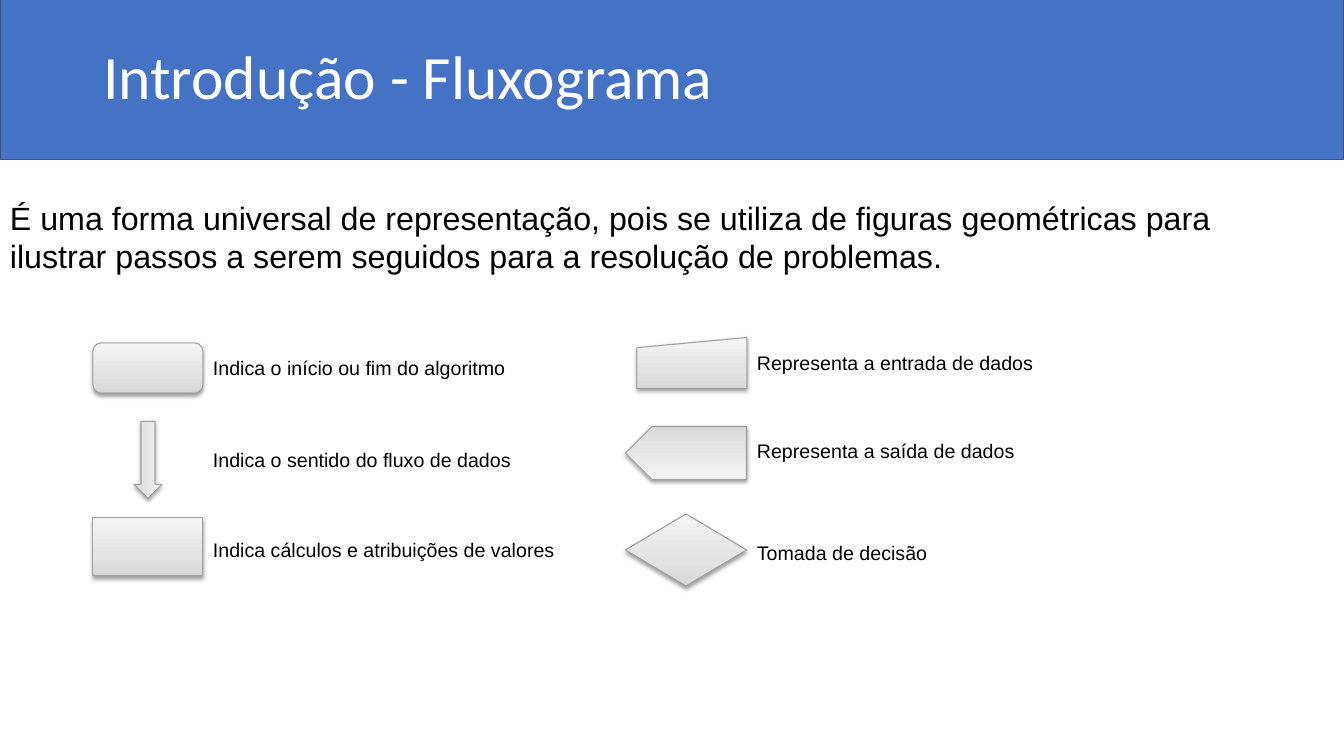
import copy
import pptx
import pptx.dml.color
import pptx.enum.shapes
import pptx.enum.text
import pptx.oxml
import pptx.oxml.ns
import pptx.util

KIND = pptx.enum.shapes.MSO_SHAPE
ALIGN = pptx.enum.text.PP_ALIGN
ANCHOR = pptx.enum.text.MSO_ANCHOR

# Content
TITLE = "Introdução - Fluxograma"
INTRO = ("É uma forma universal de representação, pois se utiliza de figuras "
         "geométricas para ilustrar passos a serem seguidos para a resolução "
         "de problemas.")
# kind, rotation, centre y, width, height, label, label top
LEFT = [
    (KIND.ROUNDED_RECTANGLE, 0, 368, 110, 50,
     "Indica o início ou fim do algoritmo", 351),
    (KIND.RIGHT_ARROW, 90, 460, 77, 28,
     "Indica o sentido do fluxo de dados", 443),
    (KIND.RECTANGLE, 0, 547, 110, 58,
     "Indica cálculos e atribuições de valores", 533),
]
RIGHT = [
    (KIND.FLOWCHART_MANUAL_INPUT, 0, 363, 110, 51,
     "Representa a entrada de dados", 346),
    (KIND.PENTAGON, 180, 453, 121, 53,
     "Representa a saída de dados", 434),
    (KIND.FLOWCHART_DECISION, 0, 550, 121, 72,
     "Tomada de decisão", 536),
]
# symbol centre x, label left, symbols
COLUMNS = [(148, 203, LEFT), (686, 747, RIGHT)]
LABEL = (590, 34)

COLORS = {"band": "4472C4", "edge": "44546A", "title": "FFFFFF",
          "text": "000000", "line": "A1A1A1"}
FADE = [(0, "D8D8D8"), (0.35, "E3E3E3"), (1, "F4F4F4")]
SHADOW = ('<a:outerShdw %s blurRad="40000" dist="20000" dir="5400000" '
          'rotWithShape="0"><a:srgbClr val="000000"><a:alpha val="38000"/>'
          '</a:srgbClr></a:outerShdw>' % pptx.oxml.ns.nsdecls("a"))
SCALE = 914400 / 100.8


def px(*sizes):
    return [pptx.util.Emu(round(size * SCALE)) for size in sizes]


def rgb(code):
    return pptx.dml.color.RGBColor.from_string(code)


def style(par, font, size, color):
    par.alignment = ALIGN.LEFT
    for run in par.runs:
        run.font.name = font
        run.font.size = pptx.util.Pt(size)
        run.font.color.rgb = rgb(color)


def border(shape, color):
    shape.line.color.rgb = rgb(color)
    shape.line.width = pptx.util.Pt(0.75)
    shape.shadow.inherit = False


def write(slide, box, text, size):
    frame = slide.shapes.add_textbox(*px(*box)).text_frame
    frame.word_wrap = True
    frame.text = text
    style(frame.paragraphs[0], "Arial", size, COLORS["text"])


def symbol(slide, kind, turn, box):
    shape = slide.shapes.add_shape(kind, *px(*box))
    shape.rotation = turn
    border(shape, COLORS["line"])
    # Three-stop fade, light at the top
    shape.fill.gradient()
    shape.fill.gradient_angle = 90
    stop = shape.element.spPr.find(".//" + pptx.oxml.ns.qn("a:gs"))
    stop.addnext(copy.deepcopy(stop))
    for part, (place, color) in zip(shape.fill.gradient_stops, FADE):
        part.position = place
        part.color.rgb = rgb(color)
    # Soft shadow below
    effect = shape.element.spPr.find(pptx.oxml.ns.qn("a:effectLst"))
    effect.append(pptx.oxml.parse_xml(SHADOW))


def main():
    deck = pptx.Presentation()
    deck.slide_width, deck.slide_height = px(1344, 756)
    slide = deck.slides.add_slide(deck.slide_layouts[5])

    # Title on its band
    title = slide.shapes.title
    title.left, title.top, title.width, title.height = px(93, 7, 1159, 146)
    frame = title.text_frame
    frame.text = TITLE
    frame.vertical_anchor = ANCHOR.MIDDLE
    frame.paragraphs[0].line_spacing = 0.9
    style(frame.paragraphs[0], "Calibri", 44, COLORS["title"])
    band = slide.shapes.add_shape(KIND.RECTANGLE, *px(0, 0, 1344, 160))
    band.fill.solid()
    band.fill.fore_color.rgb = rgb(COLORS["band"])
    border(band, COLORS["edge"])
    title.element.addprevious(band.element)

    # Introduction
    write(slide, (0, 193, 1325, 136), INTRO, 23)

    # Symbols with their meanings
    for mid, left, rows in COLUMNS:
        for kind, turn, y, wide, high, text, top in rows:
            box = (mid - wide / 2, y - high / 2, wide, high)
            if kind == KIND.FLOWCHART_MANUAL_INPUT:
                box = (left - wide, *box[1:])
            symbol(slide, kind, turn, box)
            write(slide, (left, top, *LABEL), text, 14)

    deck.save("out.pptx")


if __name__ == "__main__":
    main()
